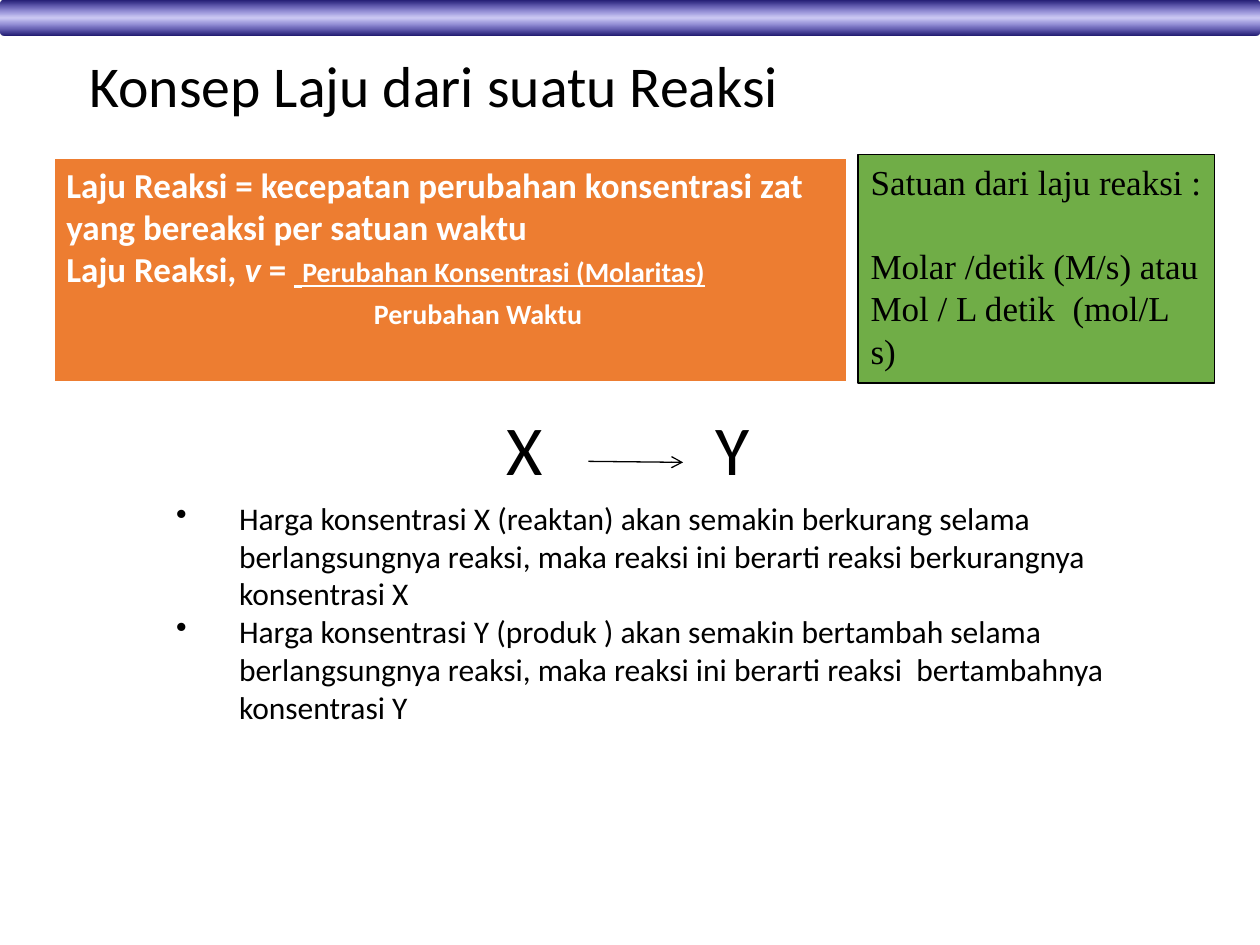
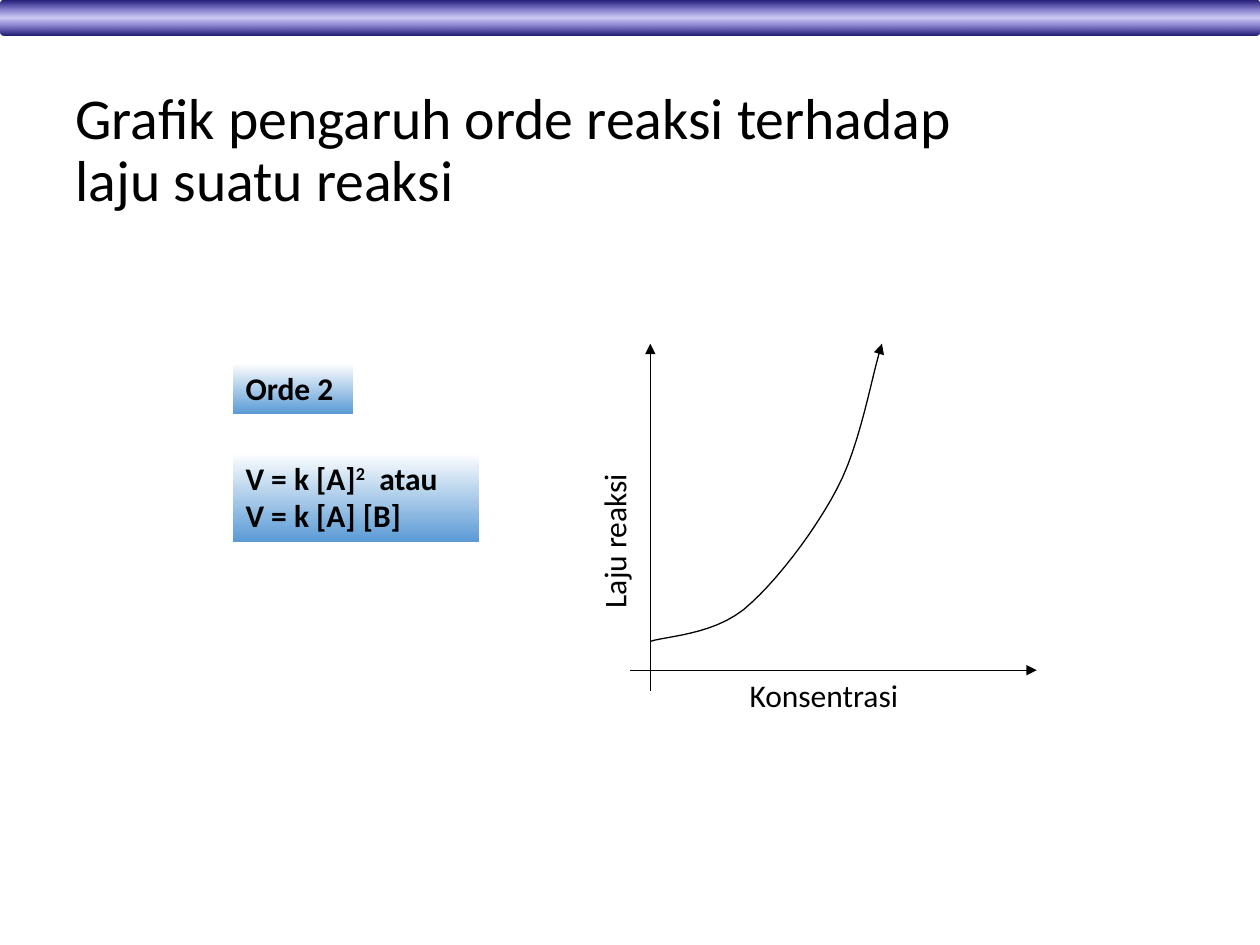
"""Builds two slides on reaction rate: its definition and the second-order graph."""
from lxml.etree import SubElement
from pptx import Presentation
from pptx.dml.color import RGBColor
from pptx.enum.shapes import MSO_CONNECTOR, MSO_SHAPE
from pptx.enum.text import MSO_ANCHOR, MSO_AUTO_SIZE, PP_ALIGN
from pptx.oxml import parse_xml
from pptx.oxml.ns import nsdecls, qn
from pptx.util import Cm, Pt

HUES = {
    "ink": "000000", "paper": "FFFFFF", "orange": "ED7D31",
    "green": "70AD47", "blue": "5B9BD5", "navy": "1D176C", "violet": "382CD0",
}
BAND = [(0, "navy", 100), (50, "violet", 25), (100, "navy", 100)]
FADE = [(0, "paper", 100), (100, "blue", 100)]


def hue(name):
    return RGBColor.from_string(HUES[name])


def write(shape, paras, size=18, font="Calibri", color="ink", bold=False,
          anchor=MSO_ANCHOR.TOP, line=None, bullet=None, hang=0, rules=None):
    """Fill a shape with paragraphs, each a string or a list of (text, changes) runs."""
    frame = shape.text_frame
    frame.word_wrap = True
    frame.auto_size = MSO_AUTO_SIZE.NONE
    frame.vertical_anchor = anchor
    for n, para in enumerate(paras):
        p = frame.paragraphs[0] if n == 0 else frame.add_paragraph()
        p.alignment = PP_ALIGN.LEFT
        p.line_spacing = line
        rule = (rules or {}).get(n, {})
        p.space_before = Pt(rule.get("before", 0))
        props = p._p.get_or_add_pPr()
        props.set("marL", str(Cm(rule.get("left", hang))))
        props.set("indent", str(-Cm(hang)))
        if bullet:
            SubElement(props, qn("a:buChar")).set("char", bullet)
        for text, diff in [(para, {})] if isinstance(para, str) else para:
            run = p.add_run()
            run.text = text
            run.font.name = font
            run.font.size = Pt(diff.get("size", size))
            run.font.bold = bold
            run.font.italic = diff.get("italic")
            run.font.underline = diff.get("under")
            run.font.color.rgb = hue(color)
            if "raise" in diff:
                run._r.get_or_add_rPr().set("baseline", str(diff["raise"] * 1000))


class Deck:
    """Holds the style and the current slide."""

    def __init__(self):
        self.show = Presentation()
        self.show.slide_width, self.show.slide_height = Cm(25.4), Cm(19.05)

    def page(self, title, *box):
        self.slide = self.show.slides.add_slide(self.show.slide_layouts[5])
        self.shapes = self.slide.shapes
        self.block(0, 0, 25.4, 0.71, grade=BAND,
                   kind=MSO_SHAPE.FLOWCHART_ALTERNATE_PROCESS)
        head = self.shapes.title
        head.left, head.top, head.width, head.height = map(Cm, box)
        write(head, [title], size=33, anchor=MSO_ANCHOR.MIDDLE, line=0.9)

    def block(self, *box, fill=None, grade=None, edge=None, weight=0.75,
              kind=MSO_SHAPE.RECTANGLE):
        shape = self.shapes.add_shape(kind, *map(Cm, box))
        shape.shadow.inherit = False
        if fill:
            shape.fill.solid()
            shape.fill.fore_color.rgb = hue(fill)
        else:
            self.blend(shape, grade)
        if edge:
            shape.line.color.rgb = hue(edge)
            shape.line.width = Pt(weight)
        else:
            shape.line.fill.background()
        return shape

    def blend(self, shape, grade):
        stops = "".join(
            f'<a:gs pos="{at * 1000}"><a:srgbClr val="{HUES[name]}">'
            f'<a:alpha val="{alpha * 1000}"/></a:srgbClr></a:gs>'
            for at, name, alpha in grade)
        shape.fill.background()
        props = shape._element.spPr
        props.replace(props.find(qn("a:noFill")), parse_xml(
            f'<a:gradFill {nsdecls("a")}><a:gsLst>{stops}</a:gsLst>'
            '<a:lin ang="5400000" scaled="0"/></a:gradFill>'))

    def label(self, text, *box, turn=0, **form):
        shape = self.shapes.add_textbox(*map(Cm, box))
        shape.rotation = turn
        write(shape, text if isinstance(text, list) else [text], **form)

    def tip(self, shape, head):
        shape.line.color.rgb = hue("ink")
        shape.line.width = Pt(0.75)
        SubElement(shape.line._get_or_add_ln(), qn("a:tailEnd")).set("type", head)

    def arrow(self, *ends, head="triangle"):
        line = self.shapes.add_connector(MSO_CONNECTOR.STRAIGHT, *map(Cm, ends))
        self.tip(line, head)
        SubElement(line._element.spPr, qn("a:effectLst"))

    def curve(self, knots, steps=12):
        """Draw joined cubic arcs, with three more knots for each arc."""
        dots = []
        for i in range(0, len(knots) - 1, 3):
            for t in (n / steps for n in range(1, steps + 1)):
                parts = ((1 - t) ** 3, 3 * t * (1 - t) ** 2, 3 * t * t * (1 - t), t ** 3)
                dots.append([Cm(sum(w * k[axis] for w, k in zip(parts, knots[i:i + 4])))
                             for axis in (0, 1)])
        pen = self.shapes.build_freeform(*map(Cm, knots[0]))
        pen.add_line_segments(dots, close=False)
        shape = pen.convert_to_shape()
        shape.shadow.inherit = False
        shape.fill.background()
        self.tip(shape, "triangle")


def concept(deck):
    deck.page("Konsep Laju dari suatu Reaksi", 1.55, 1.02, 20.12, 1.52)
    rate = deck.block(1.09, 3.18, 16, 4.52, fill="orange", edge="paper", weight=1.5)
    write(rate, [
        "Laju Reaksi = kecepatan perubahan konsentrasi zat yang bereaksi per satuan waktu",
        [("Laju Reaksi, ", {}), ("v", {"italic": True}), (" = ", {}),
         (" ", {"under": True}),
         ("Perubahan Konsentrasi (Molaritas)", {"under": True, "size": 16})],
        [("Perubahan Waktu", {"size": 16})],
    ], size=20, color="paper", bold=True, rules={2: {"left": 6.2, "before": 4}})
    for name, left in (("X", 9.96), ("Y", 14.17)):
        deck.label(name, left, 8.05, 1.47, 1.96, size=40)
    deck.arrow(11.86, 9.3, 13.77, 9.32, head="arrow")
    unit = deck.block(17.3, 3.12, 7.19, 4.6, fill="green", edge="ink")
    write(unit, ["Satuan dari laju reaksi :", "Molar /detik (M/s) atau",
                 "Mol / L detik  (mol/L s)"],
          size=20, font="Times New Roman", rules={1: {"before": 24}})
    deck.label([
        "Harga konsentrasi X (reaktan) akan semakin berkurang selama berlangsungnya "
        "reaksi, maka reaksi ini berarti reaksi berkurangnya konsentrasi X",
        "Harga konsentrasi Y (produk ) akan semakin bertambah selama berlangsungnya "
        "reaksi, maka reaksi ini berarti reaksi  bertambahnya konsentrasi Y",
    ], 3.3, 9.93, 19.99, 4.88, bullet="•", hang=1.27)


def graph(deck):
    deck.page("Grafik pengaruh orde reaksi terhadap laju suatu reaksi",
              1.27, 1.47, 20.12, 3.18)
    deck.arrow(13.11, 13.92, 13.11, 6.93)
    deck.arrow(12.7, 13.51, 20.9, 13.51)
    deck.label("Konsentrasi", 14.86, 13.51, 3.86, 1.02)
    deck.label("Laju reaksi", 10.59, 10.21, 3.58, 1.02, turn=270)
    deck.curve([(13.11, 12.93), (13.41, 12.83), (14.35, 12.8), (14.99, 12.29),
                (15.6, 11.79), (16.41, 10.74), (16.87, 9.86),
                (17.35, 8.97), (17.58, 7.54), (17.78, 6.93)])
    law = deck.block(4.7, 9.12, 4.95, 1.8, grade=FADE)
    write(law, [[("V = k [A]", {}), ("2", {"raise": 30}), ("  atau", {})],
                "V = k [A] [B]"], bold=True)
    order = deck.block(4.7, 7.32, 2.41, 1.02, grade=FADE)
    write(order, ["Orde 2"], bold=True)


def main():
    deck = Deck()
    concept(deck)
    graph(deck)
    deck.show.save("out.pptx")


if __name__ == "__main__":
    main()
